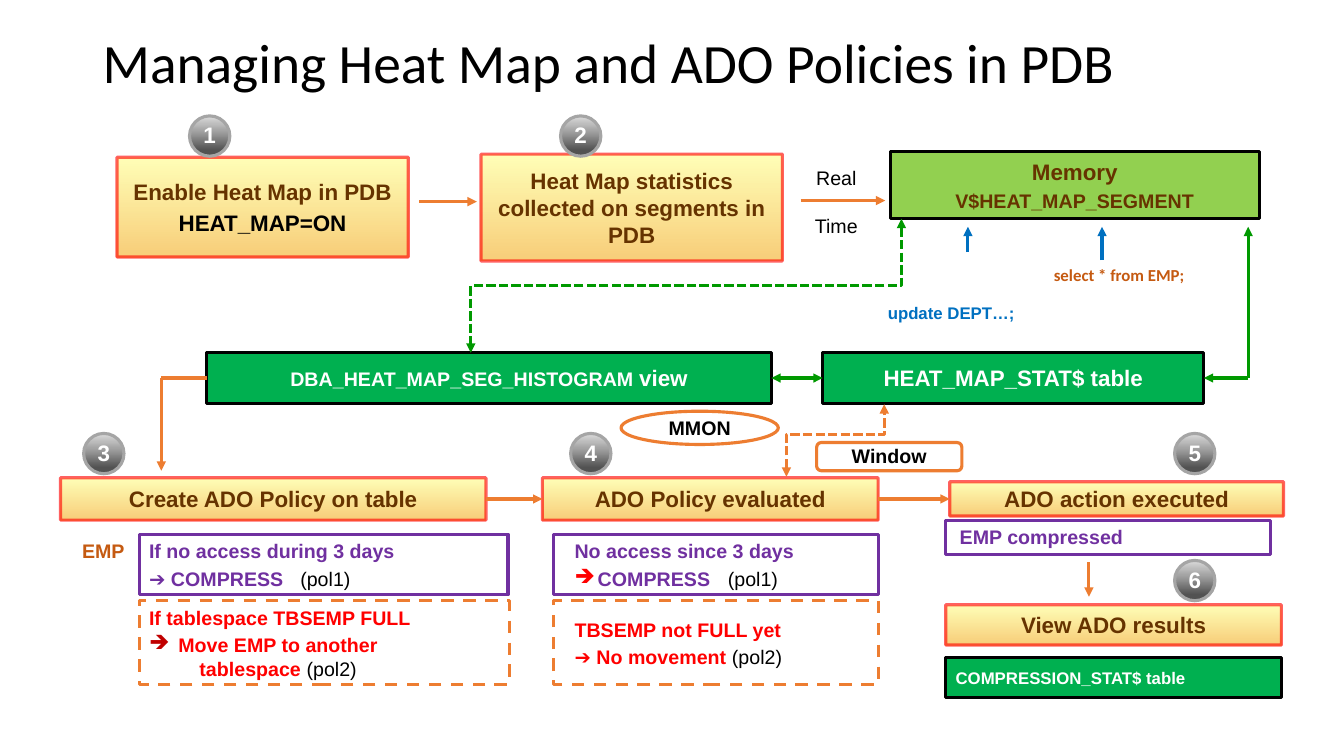
import pptx
import pptx.util
import pptx.dml.color
import pptx.enum.dml
import pptx.enum.shapes
import pptx.enum.text
from lxml import etree
from pptx.oxml.ns import qn

Inches, Pt = pptx.util.Inches, pptx.util.Pt
RGB = pptx.dml.color.RGBColor
SHAPE = pptx.enum.shapes.MSO_SHAPE
LINK = pptx.enum.shapes.MSO_CONNECTOR
DASH = pptx.enum.dml.MSO_LINE
ALIGN = pptx.enum.text.PP_ALIGN
MIDDLE = pptx.enum.text.MSO_ANCHOR.MIDDLE
TOP = pptx.enum.text.MSO_ANCHOR.TOP

BLACK, WHITE = RGB(0, 0, 0), RGB(255, 255, 255)
BROWN, RUST = RGB(0x66, 0x33, 0x00), RGB(0xC5, 0x5A, 0x11)
RED, CRIMSON = RGB(255, 0, 0), RGB(0xC0, 0, 0)
ORANGE, PURPLE = RGB(0xED, 0x7D, 0x31), RGB(0x70, 0x30, 0xA0)
LIME, GREEN = RGB(0x92, 0xD0, 0x50), RGB(0, 0xB0, 0x50)
LEAF, BLUE = RGB(0, 0x99, 0), RGB(0, 0x70, 0xC0)
GREY = RGB(0xA5, 0xA5, 0xA5)

# Gradient stops: position %, colour, opacity %
GOLD = [(0, RGB(0xFF, 0xFF, 0x99), 70), (100, RGB(0xF5, 0xB9, 0x41), 70)]
STEEL = [(0, RGB(0xDB, 0xDB, 0xDB), 100), (36, GREY, 100),
         (85, RGB(0x52, 0x52, 0x52), 100)]

# Style: preset, fill, line colour, dash, line opacity %
STYLES = {
    "step": (SHAPE.RECTANGLE, GOLD, RED, None, 62),
    "memory": (SHAPE.RECTANGLE, LIME, BLACK, None, 100),
    "view": (SHAPE.RECTANGLE, GREEN, BLACK, None, 100),
    "rule": (SHAPE.RECTANGLE, None, PURPLE, None, 100),
    "later": (SHAPE.RECTANGLE, None, ORANGE, DASH.DASH, 100),
    "oval": (SHAPE.OVAL, WHITE, ORANGE, None, 100),
    "window": (SHAPE.ROUNDED_RECTANGLE, WHITE, ORANGE, None, 100),
    "badge": (SHAPE.OVAL, STEEL, GREY, None, 100),
}


def para(*runs, **look):
    """Each run is (text, size, colour) with an optional bold flag."""
    return runs, look


TITLE = "Managing Heat Map and ADO Policies in PDB"

# Name, style, (left, top, width, height), paragraphs
BOXES = [
    ("enable", "step", (1.16, 1.56, 2.89, 0.99),
     [para(("Enable Heat Map in PDB", 16, BROWN)), para(("HEAT_MAP=ON", 16, BLACK))]),
    ("collect", "step", (4.77, 1.53, 2.99, 1.06),
     [para(("Heat Map statistics collected on segments in PDB", 16, BROWN))]),
    ("memory", "memory", (8.83, 1.5, 3.66, 0.67),
     [para(("Memory", 16, BROWN)), para(("V$HEAT_MAP_SEGMENT", 14, BROWN))]),
    ("stat", "view", (8.16, 3.5, 3.78, 0.5),
     [para(("HEAT_MAP_STAT$ table", 16, WHITE))]),
    ("chart", "view", (2.05, 3.5, 5.6, 0.5),
     [para(("DBA_HEAT_MAP_SEG_HISTOGRAM ", 14, WHITE), ("view", 16, WHITE))]),
    ("create", "step", (0.6, 4.74, 4.22, 0.42),
     [para(("Create ADO Policy on table", 16, BROWN))]),
    ("check", "step", (5.38, 4.74, 3.33, 0.42),
     [para(("ADO Policy evaluated", 16, BROWN))]),
    ("action", "step", (9.42, 4.78, 3.31, 0.34),
     [para(("ADO action executed", 16, BROWN))]),
    ("result", "step", (9.38, 6, 3.33, 0.4), [para(("View ADO results", 16, BROWN))]),
    ("log", "view", (9.38, 6.52, 3.33, 0.4),
     [para(("COMPRESSION_STAT$ table", 12, WHITE), align=ALIGN.LEFT)]),
    ("pol1", "rule", (1.38, 5.3, 3.66, 0.6), []),
    ("pol2", "later", (1.38, 5.96, 3.67, 0.83), []),
    ("test1", "rule", (5.49, 5.3, 3.22, 0.6), []),
    ("test2", "later", (5.49, 5.96, 3.22, 0.83), []),
    ("done", "rule", (9.38, 5.16, 3.22, 0.34), []),
    ("mmon", "oval", (6.16, 4.08, 1.56, 0.33), [para(("MMON", 14, BLACK))]),
    ("window", "window", (8.1, 4.39, 1.44, 0.28),
     [para(("Window", 14, BLACK), space=0.95)]),
]

# (left, top, width, height), wrap, paragraphs
NOTES = [
    ((0.92, 0.4, 11.46, 0.49), True,
     [para((TITLE, 39.6, BLACK, False), font="Calibri", align=ALIGN.LEFT, space=0.9)]),
    ((9.71, 2.58, 2.78, 0.3), True,
     [para(("select * from EMP;", 12, RUST), font="Calibri")]),
    ((8.38, 2.95, 2.11, 0.3), True, [para(("update DEPT…;", 12, BLUE))]),
    ((0.71, 5.3, 0.63, 0.34), False, [para(("EMP", 14, RUST))]),
    ((7.98, 1.6, 0.63, 0.81), False,
     [para(("Real", 14, BLACK, False)), para(("Time", 14, BLACK, False), before=17)]),
    ((9.42, 5.16, 3.07, 0.34), True,
     [para(("EMP compressed", 14, PURPLE), align=ALIGN.LEFT)]),
    ((1.38, 5.3, 2.81, 1.54), False, [
        para(("If no access during 3 days", 14, PURPLE), align=ALIGN.LEFT),
        para(("➔ COMPRESS\t", 14, PURPLE), ("(pol1)", 14, BLACK, False),
             align=ALIGN.LEFT, tab=1.5),
        para(("If tablespace TBSEMP FULL", 14, RED), align=ALIGN.LEFT, space=1.5),
        para(("Move EMP to another", 14, RED), align=ALIGN.LEFT,
             indent=0.29, mark=CRIMSON),
        para(("tablespace ", 14, RED), ("(pol2)", 14, BLACK, False),
             align=ALIGN.LEFT, indent=0.5, before=0)]),
    ((5.6, 5.3, 2.39, 1.42), False, [
        para(("No access since 3 days", 14, PURPLE), align=ALIGN.LEFT),
        para(("COMPRESS\t", 14, PURPLE), ("(pol1)", 14, BLACK, False),
             align=ALIGN.LEFT, indent=0.23, mark=RED, tab=1.52),
        para(("TBSEMP not FULL yet", 14, RED), align=ALIGN.LEFT, space=2.0),
        para(("➔ No movement ", 14, RED), ("(pol2)", 14, BLACK, False),
             align=ALIGN.LEFT)]),
]

# From, to, colour, arrowheads, joins at the start and end (box, side)
LINES = [
    ((4.16, 2), (4.73, 2), ORANGE, "tail", None, None),
    ((7.94, 1.99), (8.78, 1.99), ORANGE, "tail", None, None),
    ((12.38, 2.25), (12.38, 3.75), LEAF, "head", None, None),
    ((12.38, 3.75), (11.94, 3.75), LEAF, "tail", None, ("stat", 3)),
    ((7.65, 3.75), (8.16, 3.75), LEAF, "head tail", ("chart", 3), ("stat", 1)),
    ((2.05, 3.75), (1.6, 3.75), ORANGE, "", ("chart", 1), None),
    ((1.6, 3.75), (1.6, 4.67), ORANGE, "tail", None, None),
    ((10.93, 2.58), (10.93, 2.25), BLUE, "tail", None, None),
    ((9.6, 2.5), (9.6, 2.25), BLUE, "tail", None, None),
    ((4.82, 4.95), (5.38, 4.95), ORANGE, "tail", ("create", 3), ("check", 1)),
    ((8.71, 4.95), (9.42, 4.95), ORANGE, "tail", ("check", 3), ("action", 1)),
    ((10.8, 5.58), (10.8, 5.92), ORANGE, "tail", None, None),
]
FLUSH = (8.94, 2.17), (4.67, 3.5)
TRIGGER = [(7.8, 4.73), (7.8, 4.31), (8.77, 4.31), (8.77, 4.01)]
BADGES = [(1.88, 1.15), (5.56, 1.15), (0.83, 4.3), (5.66, 4.3), (11.65, 4.3), (11.65, 5.56)]


def write(frame, paras, wrap=True, anchor=MIDDLE, inset=None):
    frame.word_wrap, frame.vertical_anchor = wrap, anchor
    if inset is not None:
        frame.margin_left = frame.margin_right = Inches(inset)
    for i, (runs, look) in enumerate(paras):
        p = frame.add_paragraph() if i else frame.paragraphs[0]
        p.alignment = look.get("align", ALIGN.CENTER)
        p.line_spacing = look.get("space", 1.0)
        if i:
            p.space_before = Pt(look.get("before", runs[0][1] * 0.2))
        props = p._p.get_or_add_pPr()
        if "indent" in look:
            props.set("marL", str(Inches(look["indent"])))
        if "mark" in look:
            props.set("indent", str(-Inches(look["indent"])))
            tint = etree.SubElement(props, qn("a:buClr"))
            etree.SubElement(tint, qn("a:srgbClr"), val=str(look["mark"]))
            etree.SubElement(props, qn("a:buChar"), char="➔")
        if "tab" in look:
            tabs = etree.SubElement(props, qn("a:tabLst"))
            etree.SubElement(tabs, qn("a:tab"), pos=str(Inches(look["tab"])), algn="l")
        for text, size, color, *bold in runs:
            run = p.add_run()
            run.text = text
            font = run.font
            font.name, font.size = look.get("font", "Arial"), Pt(size)
            font.bold = bold[0] if bold else True
            font.color.rgb = color


def blend(shape, stops):
    """Fill a shape with a top-to-bottom gradient."""
    shape.fill.gradient()
    shape.fill.gradient_angle = 270
    group = shape._element.spPr.find(".//" + qn("a:gsLst"))
    group.clear()
    for pos, color, alpha in stops:
        stop = etree.SubElement(group, qn("a:gs"), pos=str(pos * 1000))
        tint = etree.SubElement(stop, qn("a:srgbClr"), val=str(color))
        if alpha < 100:
            etree.SubElement(tint, qn("a:alpha"), val=str(alpha * 1000))


def stroke(item, color, dash=None, ends="", alpha=100):
    line = item.line
    line.width, line.color.rgb = Pt(2.25), color
    if dash:
        line.dash_style = dash
    node = item._element.spPr.find(qn("a:ln"))
    if alpha < 100:
        etree.SubElement(node.find(".//" + qn("a:srgbClr")), qn("a:alpha"),
                         val=str(alpha * 1000))
    for end in ends.split():
        etree.SubElement(node, qn(f"a:{end}End"), type="triangle")


def draw(slide, style, box, paras, **layout):
    kind, fill, color, dash, alpha = STYLES[style]
    shape = slide.shapes.add_shape(kind, *map(Inches, box))
    shape.shadow.inherit = False
    if fill is None:
        shape.fill.background()
    elif isinstance(fill, list):
        blend(shape, fill)
    else:
        shape.fill.solid()
        shape.fill.fore_color.rgb = fill
    stroke(shape, color, dash, alpha=alpha)
    write(shape.text_frame, paras, **layout)
    return shape


def link(slide, kind, start, end):
    wire = slide.shapes.add_connector(kind, *map(Inches, (*start, *end)))
    etree.SubElement(wire._element.spPr, qn("a:effectLst"))
    return wire


def main():
    deck = pptx.Presentation()
    deck.slide_width, deck.slide_height = Inches(13.33), Inches(7.5)
    slide = deck.slides.add_slide(deck.slide_layouts[6])
    boxes = {name: draw(slide, style, box, paras) for name, style, box, paras in BOXES}
    for n, (box, wrap, paras) in enumerate(NOTES):
        frame = slide.shapes.add_textbox(*map(Inches, box)).text_frame
        write(frame, paras, wrap, TOP if n else MIDDLE)
    for start, end, color, ends, source, target in LINES:
        wire = link(slide, LINK.STRAIGHT, start, end)
        if source:
            wire.begin_connect(boxes[source[0]], source[1])
        if target:
            wire.end_connect(boxes[target[0]], target[1])
        stroke(wire, color, ends=ends)

    # The elbow leaves downwards, so its frame is turned a quarter about the centre
    (x1, y1), (x2, y2) = FLUSH
    midx, midy, wide, high = (x1 + x2) / 2, (y1 + y2) / 2, y2 - y1, x1 - x2
    elbow = link(slide, LINK.ELBOW, (midx - wide / 2, midy - high / 2),
                 (midx + wide / 2, midy + high / 2))
    elbow._element.spPr.find(qn("a:xfrm")).set("rot", "5400000")
    stroke(elbow, LEAF, DASH.SQUARE_DOT, "head tail")

    pen = slide.shapes.build_freeform(*map(Inches, TRIGGER[0]))
    pen.add_line_segments([tuple(map(Inches, spot)) for spot in TRIGGER[1:]], close=False)
    route = pen.convert_to_shape()
    route.shadow.inherit = False
    route.fill.background()
    stroke(route, ORANGE, DASH.SQUARE_DOT, "head tail")

    for n, spot in enumerate(BADGES, 1):
        draw(slide, "badge", (*spot, 0.4, 0.4),
             [para((str(n), 16, WHITE), space=0.95)], wrap=False, inset=0.05)
    deck.save("out.pptx")


if __name__ == "__main__":
    main()
